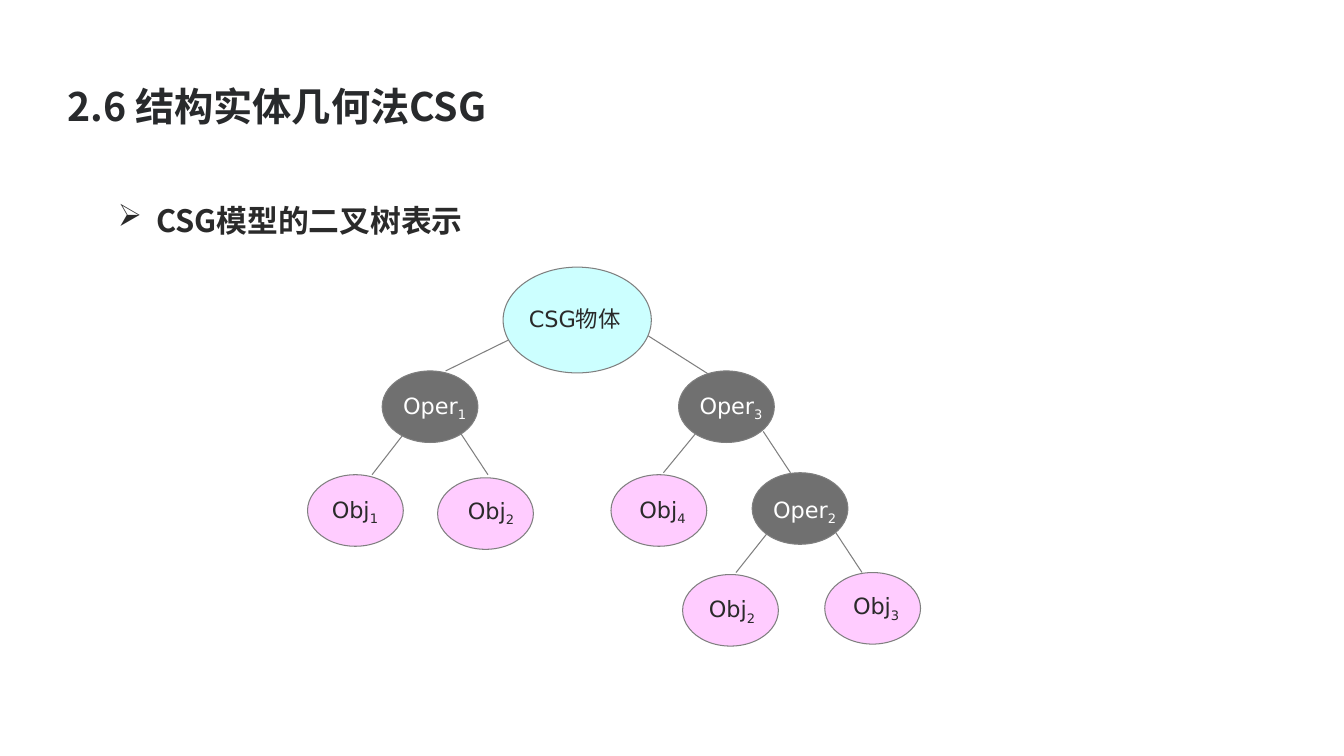
from lxml.etree import SubElement
from pptx import Presentation
from pptx.dml.color import RGBColor
from pptx.enum.shapes import MSO_CONNECTOR, MSO_SHAPE
from pptx.enum.text import MSO_ANCHOR, MSO_AUTO_SIZE, PP_ALIGN
from pptx.oxml.ns import qn
from pptx.util import Pt

PX = 9144  # 100 px to the inch
HAN, SANS = "Noto Sans CJK SC", "DejaVu Sans"
INK, GREY = "2A2A2A", "7F7F7F"
CYAN, PINK, DARK = "CCFFFF", "FFCCFF", "707070"


def paint(color, code):
    color.rgb = RGBColor.from_string(code)


def write(frame, text, size, code, face, pad, bold=False):
    """Fill the first paragraph of a frame; pad is the x and y inset."""
    frame.word_wrap = True
    frame.auto_size = MSO_AUTO_SIZE.NONE
    frame.margin_left = frame.margin_right = pad[0] * PX
    frame.margin_top = frame.margin_bottom = pad[1] * PX
    para = frame.paragraphs[0]
    para.add_run().text = text
    font = para.font
    font.size, font.bold = Pt(size), bold
    paint(font.fill.fore_color if font.fill.solid() else font.color, code)
    font.name = face
    SubElement(para._p.pPr.find(qn("a:defRPr")), qn("a:ea"), typeface=HAN)
    return para


deck = Presentation()
deck.slide_width, deck.slide_height = 1333 * PX, 750 * PX
slide = deck.slides.add_slide(deck.slide_layouts[5])
shapes = slide.shapes

# Title
title = shapes.title
title.left, title.top = 12 * PX, 33 * PX
title.width, title.height = 1150 * PX, 145 * PX
title.text_frame.vertical_anchor = MSO_ANCHOR.MIDDLE
para = write(title.text_frame, "2.6 结构实体几何法CSG", 28, "282A2C", HAN, (5, 5), True)
para.alignment = PP_ALIGN.LEFT
para._p.pPr.set("marL", "0")
para._p.pPr.set("indent", str(50 * PX))

# Bullet line
body = shapes.add_textbox(67 * PX, 186 * PX, 1200 * PX, 425 * PX)
para = body.text_frame.paragraphs[0]
para.line_spacing = 1.1
props = para._p.pPr
props.set("marL", str(78 * PX))
props.set("indent", str(-38 * PX))
SubElement(props, qn("a:buChar"), char="➢")
write(body.text_frame, "CSG模型的二叉树表示", 22, INK, HAN, (10, 10), True)

# Branches: from x, y to x, y
branches = [
    (505, 337, 442, 368), (641, 332, 704, 372),
    (400, 431, 369, 471), (457, 430, 484, 471),
    (690, 430, 658, 469), (757, 428, 784, 469),
    (761, 529, 730, 568), (828, 527, 855, 568),
]
for ends in branches:
    line = shapes.add_connector(MSO_CONNECTOR.STRAIGHT, *(n * PX for n in ends))
    paint(line.line.color, GREY)
    line.line.width = Pt(0.75)
    SubElement(line._element.spPr, qn("a:effectLst"))

# Nodes: left, top, fill, label, index, label shift from centre and top
nodes = [
    (499, 265, CYAN, "CSG物体", "", -2, 33),
    (305, 471, PINK, "Obj", "1", 0, 16),
    (434, 474, PINK, "Obj", "2", 6, 14),
    (606, 471, PINK, "Obj", "4", 4, 16),
    (677, 570, PINK, "Obj", "2", 2, 16),
    (818, 568, PINK, "Obj", "3", 4, 15),
    (746, 469, DARK, "Oper", "2", 5, 18),
    (673, 368, DARK, "Oper", "3", 5, 16),
    (379, 368, DARK, "Oper", "1", 5, 16),
]
SPAN = 126  # label width
for left, top, fill, label, index, dx, dy in nodes:
    wide, high = (147, 105) if fill == CYAN else (95, 71)
    oval = shapes.add_shape(MSO_SHAPE.OVAL, left * PX, top * PX, wide * PX, high * PX)
    oval.shadow.inherit = False
    oval.fill.solid()
    paint(oval.fill.fore_color, fill)
    paint(oval.line.color, GREY)
    oval.line.width = Pt(0.75)

    x = left + (wide - SPAN) // 2 + dx
    box = shapes.add_textbox(x * PX, (top + dy) * PX, SPAN * PX, 37 * PX)
    code = "FFFFFF" if fill == DARK else INK
    para = write(box.text_frame, label, 16, code, SANS, (10, 5))
    para.alignment = PP_ALIGN.CENTER
    if index:
        run = para.add_run()
        run.text = index
        run._r.get_or_add_rPr().set("baseline", "-25000")

deck.save("out.pptx")
